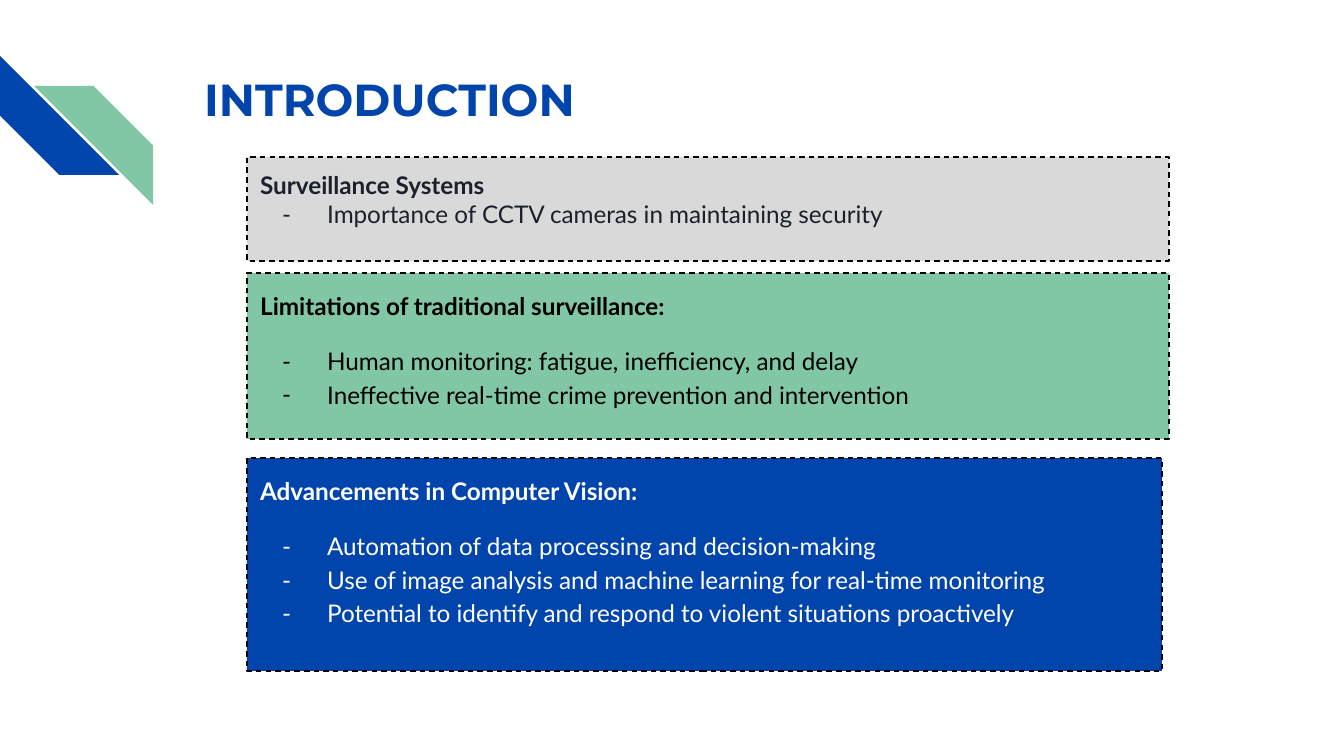
import pptx
import pptx.dml.color
import pptx.enum.dml
import pptx.enum.shapes
import pptx.enum.text
import pptx.oxml.ns
import pptx.util
from dataclasses import dataclass
from lxml import etree

SCALE = 914400 / 134.4  # EMU per px


def px(length):
    return pptx.util.Emu(round(length * SCALE))


def rgb(value):
    return pptx.dml.color.RGBColor.from_string(value)


@dataclass(frozen=True)
class Theme:
    blue: str = "0145AC"
    green: str = "82C7A5"
    grey: str = "D9D9D9"
    ink: str = "1B212C"
    black: str = "000000"
    white: str = "FFFFFF"
    title_font: str = "Montserrat"
    body_font: str = "Lato"
    title_size: int = 24
    body_size: int = 13


def write(para, text, *, font, size, color, bold=False):
    span = para.add_run()
    span.text = text
    span.font.name = font
    span.font.size = pptx.util.Pt(size)
    span.font.color.rgb = rgb(color)
    span.font.bold = bold


def add_dash_bullet(para, color):
    qn = pptx.oxml.ns.qn
    properties = para._p.get_or_add_pPr()
    properties.set("marL", str(px(67)))
    properties.set("indent", str(px(-45)))
    bullet_color = etree.SubElement(properties, qn("a:buClr"))
    etree.SubElement(bullet_color, qn("a:srgbClr"), val=color)
    etree.SubElement(properties, qn("a:buFont"), typeface=Theme.body_font)
    etree.SubElement(properties, qn("a:buChar"), char="-")


class SlideBuilder:
    def __init__(self, page, theme):
        self.page = page
        self.theme = theme

    def shape(self, kind, left, top, width, height, fill):
        box = self.page.shapes.add_shape(kind, px(left), px(top), px(width), px(height))
        box.shadow.inherit = False
        box.fill.solid()
        box.fill.fore_color.rgb = rgb(fill)
        return box

    def frame(self, box):
        frame = box.text_frame
        frame.word_wrap = True
        frame.vertical_anchor = pptx.enum.text.MSO_ANCHOR.TOP
        frame.margin_left = frame.margin_right = pptx.util.Inches(0.1)
        frame.margin_top = frame.margin_bottom = pptx.util.Inches(0.1)
        return frame

    def stripe(self, left, top, rotation, fill):
        kind = pptx.enum.shapes.MSO_SHAPE.DIAGONAL_STRIPE
        stripe = self.shape(kind, left, top, 119, 119, fill)
        stripe.adjustments[0] = 0.5
        stripe.rotation = rotation
        stripe.line.fill.background()

    def title(self, text, left, top, width, height):
        box = self.page.shapes.add_textbox(px(left), px(top), px(width), px(height))
        write(self.frame(box).paragraphs[0], text, font=self.theme.title_font,
              size=self.theme.title_size, color=self.theme.blue, bold=True)

    def card(self, top, width, height, fill, color, heading, bullets, spacing=1.15, gap=12):
        kind = pptx.enum.shapes.MSO_SHAPE.RECTANGLE
        box = self.shape(kind, 247, top, width, height, fill)
        box.line.color.rgb = rgb(self.theme.black)
        box.line.width = pptx.util.Pt(0.75)
        box.line.dash_style = pptx.enum.dml.MSO_LINE.DASH

        frame = self.frame(box)
        for index, text in enumerate([heading, *bullets]):
            para = frame.add_paragraph() if index else frame.paragraphs[0]
            if index:
                add_dash_bullet(para, color)
            para.alignment = pptx.enum.text.PP_ALIGN.LEFT
            para.line_spacing = spacing
            para.space_before = pptx.util.Pt(gap if index == 1 else 0)
            write(para, text, font=self.theme.body_font, size=self.theme.body_size,
                  color=color, bold=index == 0)


def main():
    deck = pptx.Presentation()
    deck.slide_width, deck.slide_height = px(1344), px(756)
    theme = Theme()
    builder = SlideBuilder(deck.slides.add_slide(deck.slide_layouts[6]), theme)

    # Corner stripes
    builder.stripe(0, 56, 270, theme.blue)
    builder.stripe(34, 86, 90, theme.green)

    # Title
    builder.title("INTRODUCTION", 191, 58, 1035, 134)

    # Topic cards
    builder.card(157, 922, 104, theme.grey, theme.ink, "Surveillance Systems",
                 ["Importance of CCTV cameras in maintaining security"],
                 spacing=1.0, gap=0)
    builder.card(273, 922, 166, theme.green, theme.black,
                 "Limitations of traditional surveillance:",
                 ["Human monitoring: fatigue, inefficiency, and delay",
                  "Ineffective real-time crime prevention and intervention"])
    builder.card(458, 915, 213, theme.blue, theme.white,
                 "Advancements in Computer Vision:",
                 ["Automation of data processing and decision-making",
                  "Use of image analysis and machine learning for real-time monitoring",
                  "Potential to identify and respond to violent situations proactively"])

    deck.save("out.pptx")


if __name__ == "__main__":
    main()
